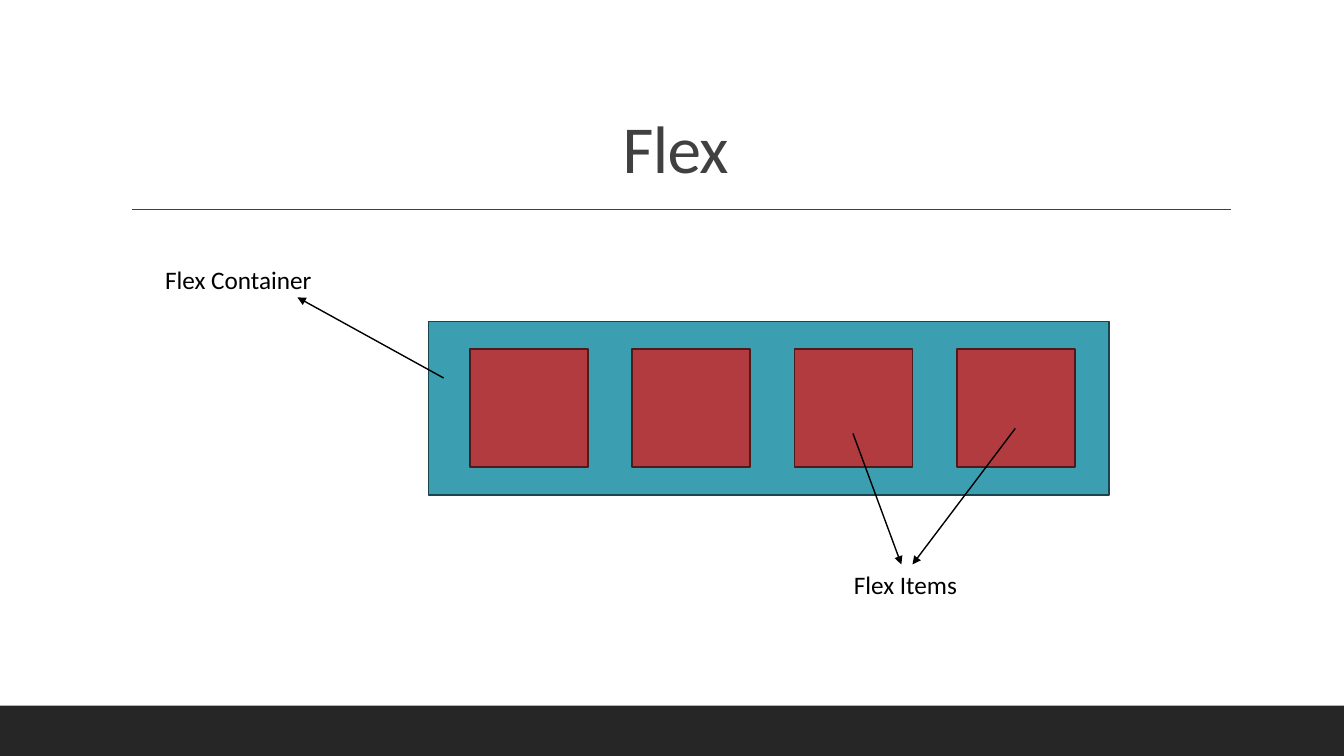
"""Build the Flex slide: a flex container, its items and their labels."""
from lxml.etree import SubElement
from pptx import Presentation
from pptx.dml.color import RGBColor
from pptx.enum.shapes import MSO_CONNECTOR as Connector, MSO_SHAPE as Shape
from pptx.enum.text import MSO_ANCHOR as Anchor, PP_ALIGN as Align
from pptx.oxml.ns import qn
from pptx.util import Inches, Pt

WHITE = RGBColor(0xFF, 0xFF, 0xFF)
BLACK = RGBColor(0x00, 0x00, 0x00)
GREY = RGBColor(0x40, 0x40, 0x40)
FOOTER = RGBColor(0x26, 0x26, 0x26)
TEAL = RGBColor(0x3B, 0x9E, 0xB1)
TEAL_EDGE = RGBColor(0x1A, 0x45, 0x4E)
RED = RGBColor(0xB1, 0x3B, 0x3E)
RED_EDGE = RGBColor(0x4E, 0x1A, 0x1B)

FONT = "Calibri"
WIDTH, HEIGHT = 13.33, 7.5
FOOTER_HEIGHT = HEIGHT / 15
TITLE = ("Flex", (1.2, 0.31, 11, 1.59))
RULE = ((1.31, 2.08), (12.21, 2.08))
LABELS = [
    ("Flex Container", (1.54, 2.57, 1.67, 0.4)),
    ("Flex Items", (8.37, 5.6, 1.24, 0.4)),
]
CONTAINER = (4.25, 3.19, 6.75, 1.72)
ITEM_COUNT, ITEM_SIZE, ITEM_PITCH, ITEM_INDENT = 4, 1.17, 1.61, 0.41
ARROWS = [
    ((4.4, 3.75), (2.95, 2.95)),
    ((8.46, 4.3), (8.94, 5.6)),
    ((10.07, 4.25), (9.05, 5.6)),
]


def add_box(page, place, fill, edge=None):
    box = page.shapes.add_shape(Shape.RECTANGLE, *map(Inches, place))
    box.shadow.inherit = False
    box.fill.solid()
    box.fill.fore_color.rgb = fill
    if edge is None:
        box.line.fill.background()
    else:
        box.line.color.rgb = edge
        box.line.width = Pt(1.25)


def add_line(page, start, end, color, arrow=False):
    line = page.shapes.add_connector(Connector.STRAIGHT, *map(Inches, start + end))
    line.line.color.rgb = color
    line.line.width = Pt(1)
    if arrow:
        SubElement(line.line._get_or_add_ln(), qn("a:tailEnd"), type="triangle")
    SubElement(line._element.spPr, qn("a:effectLst"))


def add_text(page, text, place, size, color, wrap=False):
    frame = page.shapes.add_textbox(*map(Inches, place)).text_frame
    frame.word_wrap = wrap
    frame.text = text
    para = frame.paragraphs[0]
    para.alignment = Align.LEFT
    span = para.runs[0]
    span.font.name = FONT
    span.font.size = Pt(size)
    span.font.color.rgb = color
    return frame


def add_title(page):
    text, place = TITLE
    frame = add_text(page, text, place, 48, GREY, wrap=True)
    frame.vertical_anchor = Anchor.BOTTOM
    para = frame.paragraphs[0]
    para.alignment = Align.CENTER
    para.line_spacing = 1.1
    para.runs[0].font._element.set("spc", "-50")


def main():
    deck = Presentation()
    deck.slide_width, deck.slide_height = Inches(WIDTH), Inches(HEIGHT)
    page = deck.slides.add_slide(deck.slide_layouts[6])
    page.background.fill.solid()
    page.background.fill.fore_color.rgb = WHITE

    add_box(page, (0, HEIGHT - FOOTER_HEIGHT, WIDTH, FOOTER_HEIGHT), FOOTER)
    add_line(page, *RULE, GREY)
    add_title(page)

    left, top, _, height = CONTAINER
    add_box(page, CONTAINER, TEAL, TEAL_EDGE)
    item_top = top + (height - ITEM_SIZE) / 2
    for column in range(ITEM_COUNT):
        item_left = left + ITEM_INDENT + column * ITEM_PITCH
        add_box(page, (item_left, item_top, ITEM_SIZE, ITEM_SIZE), RED, RED_EDGE)

    for start, end in ARROWS:
        add_line(page, start, end, BLACK, arrow=True)
    for text, place in LABELS:
        add_text(page, text, place, 18, BLACK)
    deck.save("out.pptx")


if __name__ == "__main__":
    main()
